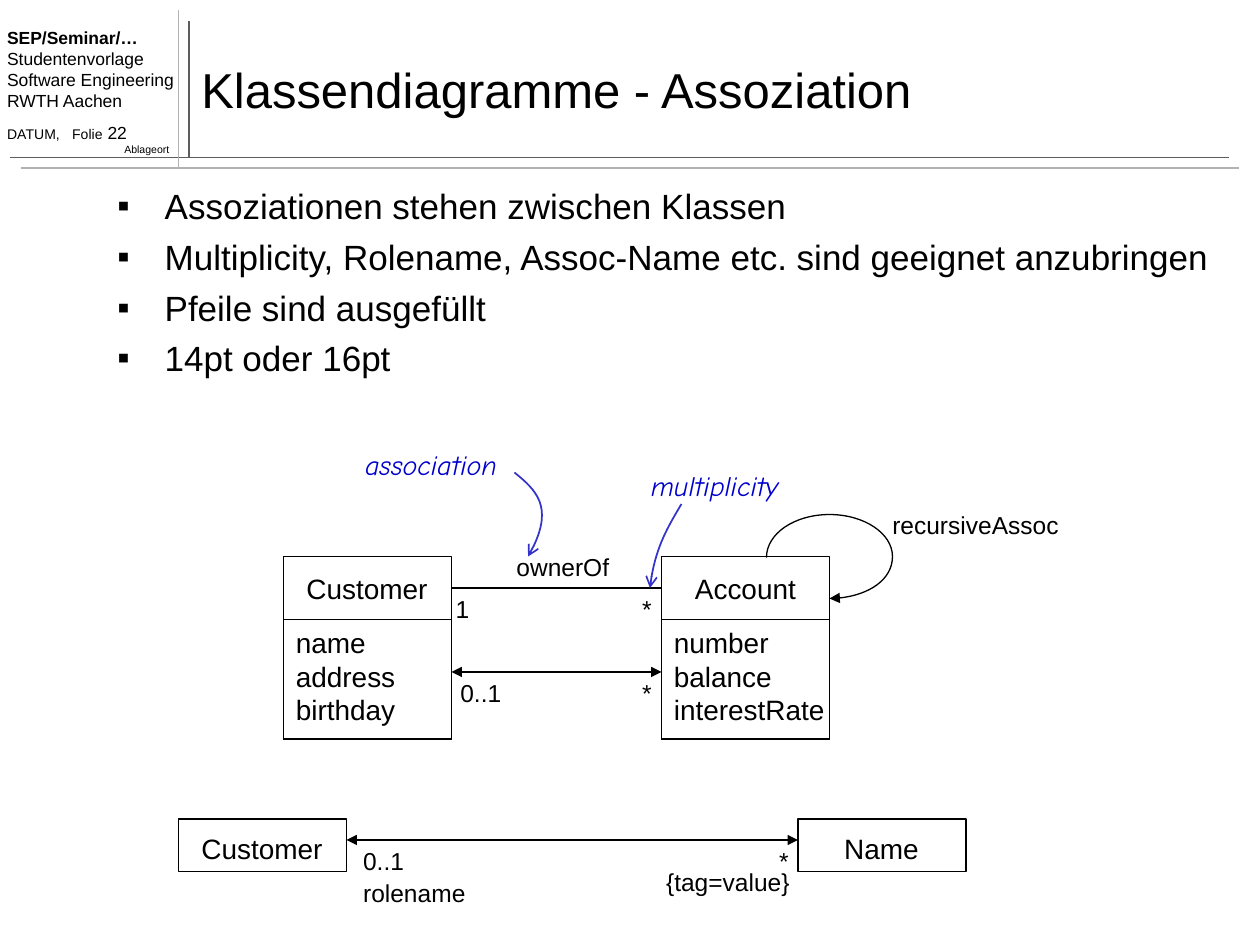
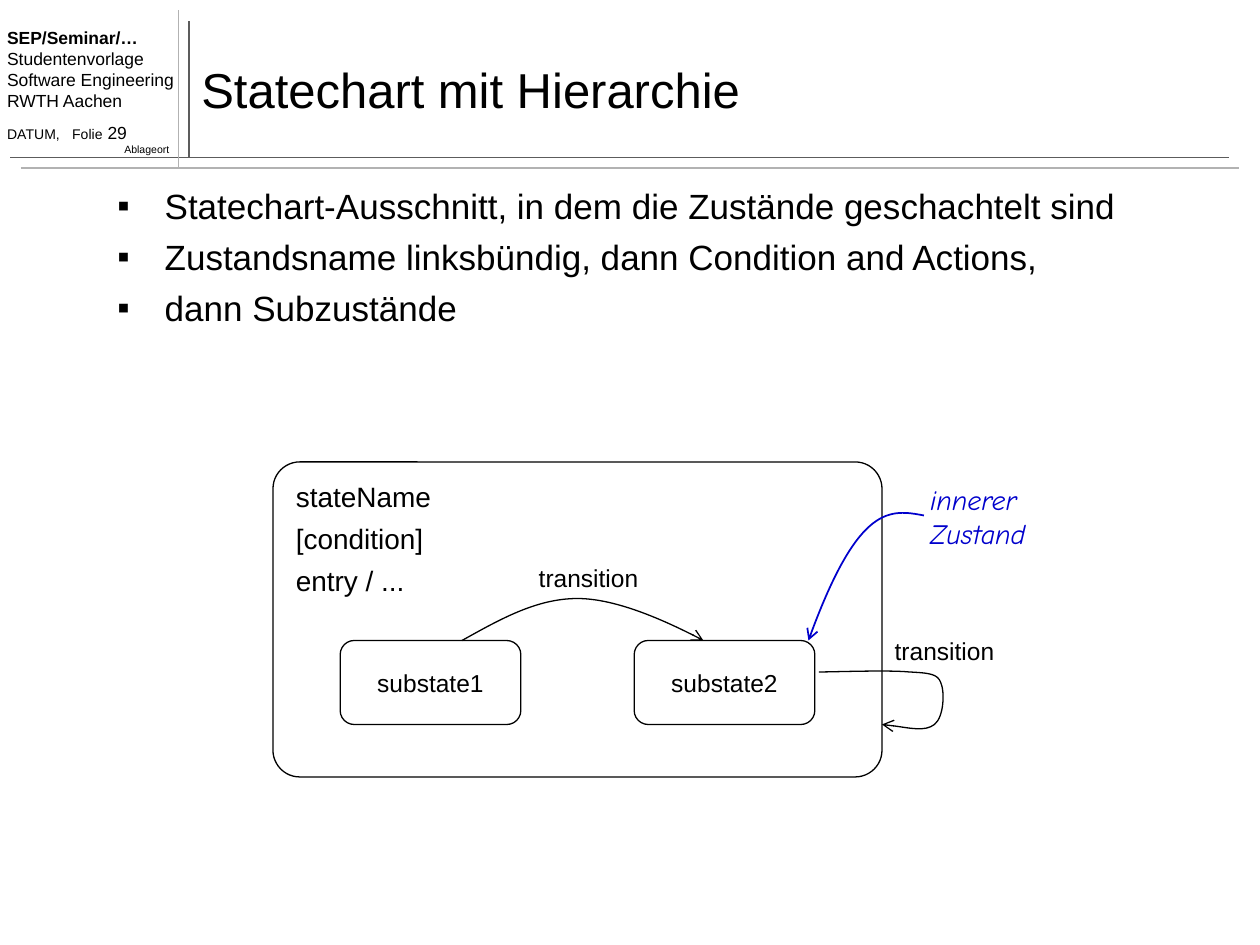
from dataclasses import dataclass
from typing import Any

from pptx import Presentation
from pptx.dml.color import RGBColor
from pptx.enum import shapes, text
from pptx.oxml import ns, xmlchemy
from pptx import util as u

PX = 7620
BLACK = RGBColor(0x00, 0x00, 0x00)
WHITE = RGBColor(0xFF, 0xFF, 0xFF)
DARK_RULE = RGBColor(0x5C, 0x5C, 0x5C)
LIGHT_RULE = RGBColor(0xB2, 0xB2, 0xB2)
NOTE_BLUE = RGBColor(0x00, 0x00, 0xCC)
ARROW_BLUE = RGBColor(0x33, 0x33, 0xCC)

LEFT, CENTER, RIGHT = text.PP_ALIGN.LEFT, text.PP_ALIGN.CENTER, text.PP_ALIGN.RIGHT
PLAIN = {"name": "Arial", "size": u.Pt(16)}
SMALL = PLAIN | {"size": u.Pt(14)}
NOTE = {"name": "Comic Neue", "size": u.Pt(16), "italic": True, "color": NOTE_BLUE}
TITLE = PLAIN | {"size": u.Pt(28)}
BULLET = PLAIN | {"size": u.Pt(20)}
HEADER = PLAIN | {"size": u.Pt(10)}
CLASS_WIDTH = 160


def set_font(font, style):
    """Apply a dict of format values to a font."""
    for name, value in style.items():
        if name != "color":
            setattr(font, name, value)
    font.color.rgb = style.get("color", BLACK)


def append_xml(parent, tag, **attributes):
    """Append a drawing element with attributes and return it."""
    child = xmlchemy.OxmlElement(tag)
    for name, value in attributes.items():
        child.set(name, str(value))
    parent.append(child)
    return child


def set_line(shape, color, width, head=None, tail=None):
    """Colour an outline and add its arrowheads."""
    shape.line.color.rgb = color
    shape.line.width = u.Pt(width)
    outline = shape.element.spPr.find(ns.qn("a:ln"))
    for tag, kind in (("a:headEnd", head), ("a:tailEnd", tail)):
        if kind:
            append_xml(outline, tag, type=kind)


def bend_segments(shape):
    """Turn every three line segments of a freeform into one cubic curve."""
    outline = shape.element.find(".//" + ns.qn("a:path"))
    segments = outline.findall(ns.qn("a:lnTo"))
    for index, segment in enumerate(segments):
        if index % 3 == 0:
            cubic = append_xml(outline, "a:cubicBezTo")
        cubic.append(segment[0])
        outline.remove(segment)


@dataclass
class Region:
    """Part of a slide whose contents are placed from its top left corner."""
    slide: Any
    left: int
    top: int

    def spot(self, x, y):
        """Turn a point of the region into slide EMU."""
        return (self.left + x) * PX, (self.top + y) * PX

    def label(self, x, y, width, height, lines, style=PLAIN, align=LEFT, wrap=False, grow=True):
        """Write one paragraph for each line and return the text frame."""
        box = self.slide.shapes.add_textbox(*self.spot(x, y), width * PX, height * PX)
        frame = box.text_frame
        frame.word_wrap = wrap
        if not wrap and align != LEFT:
            frame.margin_left = 0
        if not wrap and align != RIGHT:
            frame.margin_right = 0
        if grow:
            frame.auto_size = text.MSO_AUTO_SIZE.SHAPE_TO_FIT_TEXT
        for index, line in enumerate(lines):
            paragraph = frame.add_paragraph() if index else frame.paragraphs[0]
            paragraph.alignment = align
            run = paragraph.add_run()
            run.text = line
            set_font(run.font, style)
        return frame

    def small(self, x, y, width, line, align=CENTER):
        """Write a one-line diagram label."""
        self.label(x, y, width, 41, [line], SMALL, align)

    def box(self, x, y, width, height, radius=None, fill=None):
        """Draw an outlined rectangle, rounded when a radius is given."""
        kind = shapes.MSO_SHAPE.ROUNDED_RECTANGLE if radius else shapes.MSO_SHAPE.RECTANGLE
        shape = self.slide.shapes.add_shape(kind, *self.spot(x, y), width * PX, height * PX)
        shape.shadow.inherit = False
        if radius:
            shape.adjustments[0] = radius
        if fill is None:
            shape.fill.background()
        else:
            shape.fill.solid()
            shape.fill.fore_color.rgb = fill
        set_line(shape, BLACK, 0.75)
        return shape

    def line(self, start, end, color=BLACK, width=0.75, both=None):
        """Draw a straight line, with the same arrowhead at both ends if given."""
        connector = self.slide.shapes.add_connector(
            shapes.MSO_CONNECTOR.STRAIGHT, *self.spot(*start), *self.spot(*end))
        set_line(connector, color, width, both, both)
        append_xml(connector.element.spPr, "a:effectLst")

    def curve(self, start, *pieces, color=BLACK, width=0.75, head=None, tail=None):
        """Draw a chain of cubic curves, each given by three points."""
        builder = self.slide.shapes.build_freeform(*self.spot(*start))
        builder.add_line_segments(
            [self.spot(*point) for piece in pieces for point in piece], close=False)
        shape = builder.convert_to_shape()
        bend_segments(shape)
        shape.shadow.inherit = False
        shape.fill.background()
        set_line(shape, color, width, head, tail)


def header(region, number, title):
    """Draw the ruled header with course details and slide title."""
    for start, end, color in (((180, 150), (180, 20), DARK_RULE),
                              ((10, 150), (1170, 150), DARK_RULE),
                              ((20, 160), (1180, 160), LIGHT_RULE),
                              ((170, 160), (170, 10), LIGHT_RULE)):
        region.line(start, end, color, 1)
    frame = region.label(-5, 20, 185, 122, [
        "SEP/Seminar/…", "Studentenvorlage", "Software Engineering", "RWTH Aachen",
        "DATUM,\tFolie"], HEADER)
    frame.paragraphs[0].runs[0].font.bold = True
    date = frame.paragraphs[-1]
    date.space_before = u.Pt(6.2)
    tabs = append_xml(date._p.get_or_add_pPr(), "a:tabLst")
    append_xml(tabs, "a:tab", pos=62 * PX, algn="l")
    date.runs[0].font.size = u.Pt(8)
    page = date.add_run()
    page.text = f" {number}"
    set_font(page.font, HEADER)
    region.label(107, 130, 66, 24, ["Ablageort"], HEADER | {"size": u.Pt(6)}, RIGHT)
    heading = region.label(180, 30, 1000, 110, [title], TITLE, wrap=True, grow=False)
    heading.vertical_anchor = text.MSO_ANCHOR.MIDDLE


def bullet_list(region, height, lines):
    """Write the square-bulleted points below the header."""
    frame = region.label(0, 0, 1080, height, lines, BULLET, wrap=True, grow=False)
    for index, paragraph in enumerate(frame.paragraphs):
        if index:
            paragraph.space_before = u.Pt(5)
        properties = paragraph._p.get_or_add_pPr()
        properties.set("marL", str(45 * PX))
        properties.set("indent", str(-45 * PX))
        append_xml(properties, "a:buFont", typeface="Arial")
        append_xml(properties, "a:buChar", char="▪")


def class_box(region, name, name_width, attributes=(), attributes_width=0):
    """Draw a class with a centred name and an optional attribute part."""
    name_top = 8 if attributes else 6
    region.label((CLASS_WIDTH - name_width) // 2, name_top, name_width, 44, [name], align=CENTER)
    region.box(0, 0, CLASS_WIDTH, 174 if attributes else 50)
    if attributes:
        region.box(0, 60, CLASS_WIDTH, 114)
        region.label(0, 60, attributes_width, 108, attributes)


def class_diagram(region):
    """Draw two detailed classes with their associations and notes."""
    for x, *details in ((0, "Customer", 139, ["name", "address", "birthday"], 119),
                        (360, "Account", 120, ["number", "balance", "interestRate"], 167)):
        class_box(Region(region.slide, region.left + x, region.top + 110), *details)
    for y, arrow, x, width, count in ((140, None, 152, 37, "1"),
                                      (220, "triangle", 157, 62, "0..1")):
        region.line((CLASS_WIDTH, y), (360, y), both=arrow)
        region.small(x, y, width, count)
        region.small(330, y, 32, "*")
    region.small(210, 100, 112, "ownerOf")
    region.small(568, 60, 182, "recursiveAssoc", LEFT)
    region.curve((520, 150), ((553, 150), (580, 132), (580, 110)),
                 ((580, 88), (553, 70), (520, 70)),
                 ((487, 70), (460, 88), (460, 111)), head="triangle")
    region.label(66, 0, 149, 44, ["association"], NOTE)
    region.label(338, 20, 145, 44, ["multiplicity"], NOTE)
    for start, piece in (((220, 30), ((241, 47), (259, 65), (233, 110))),
                         ((379, 60), ((366, 82), (353, 104), (349, 140)))):
        region.curve(start, piece, color=ARROW_BLUE, width=1, tail="arrow")


def short_association(region):
    """Draw two plain classes joined by a labelled association."""
    for x, name, width in ((0, "Customer", 139), (590, "Name", 95)):
        class_box(Region(region.slide, region.left + x, region.top), name, width)
    region.line((CLASS_WIDTH, 20), (590, 20), both="triangle")
    region.small(164, 20, 62, "0..1", LEFT)
    region.small(164, 50, 121, "rolename", LEFT)
    region.small(561, 20, 32, "*", RIGHT)
    region.small(452, 40, 142, "{tag=value}", RIGHT)


def statechart(region):
    """Draw a state with two nested states and their transitions."""
    region.box(0, 0, 580, 300, radius=0.085)
    frame = region.label(10, 10, 152, 125, ["stateName", "[condition]", "entry / ..."])
    frame.vertical_anchor = text.MSO_ANCHOR.MIDDLE
    for paragraph in frame.paragraphs[1:]:
        paragraph.line_spacing = 1.25
    for index in range(2):
        substate = region.box(64 + 280 * index, 170, 172, 80, 0.167, WHITE)
        substate.text_frame.word_wrap = False
        paragraph = substate.text_frame.paragraphs[0]
        paragraph.alignment = CENTER
        run = paragraph.add_run()
        run.text = f"substate{index + 1}"
        set_font(run.font, SMALL)
    region.curve((180, 170), ((216, 150), (251, 130), (290, 130)),
                 ((328, 130), (390, 159), (410, 170)), tail="arrow")
    region.curve((520, 200), ((534, 200), (586, 198), (606, 200)),
                 ((626, 201), (633, 202), (636, 210)),
                 ((640, 219), (639, 243), (630, 250)),
                 ((621, 257), (600, 252), (580, 250)), tail="arrow")
    region.small(241, 90, 119, "transition")
    region.small(580, 160, 119, "transition")
    region.label(614, 14, 146, 77, ["innerer", "Zustand"], NOTE, wrap=True)
    region.curve((620, 51), ((588, 45), (557, 40), (510, 170)),
                 color=NOTE_BLUE, width=1, tail="arrow")


def content_slide(presentation, number, title, list_height, lines):
    """Add a slide with header and bullets and return it."""
    slide = presentation.slides.add_slide(presentation.slide_layouts[6])
    header(Region(slide, 0, 0), number, title)
    bullet_list(Region(slide, 100, 170), list_height, lines)
    return slide


def main():
    """Build and save both slides."""
    presentation = Presentation()
    presentation.slide_width, presentation.slide_height = 1200 * PX, 900 * PX
    slide = content_slide(presentation, 22, "Klassendiagramme - Assoziation", 220, [
        "Assoziationen stehen zwischen Klassen",
        "Multiplicity, Rolename, Assoc-Name etc. sind geeignet anzubringen",
        "Pfeile sind ausgefüllt",
        "14pt oder 16pt"])
    class_diagram(Region(slide, 270, 420))
    short_association(Region(slide, 170, 780))
    slide = content_slide(presentation, 29, "Statechart mit Hierarchie", 710, [
        "Statechart-Ausschnitt, in dem die Zustände geschachtelt sind",
        "Zustandsname linksbündig, dann Condition and Actions,",
        "dann Subzustände"])
    statechart(Region(slide, 260, 440))
    presentation.save("out.pptx")


if __name__ == "__main__":
    main()
